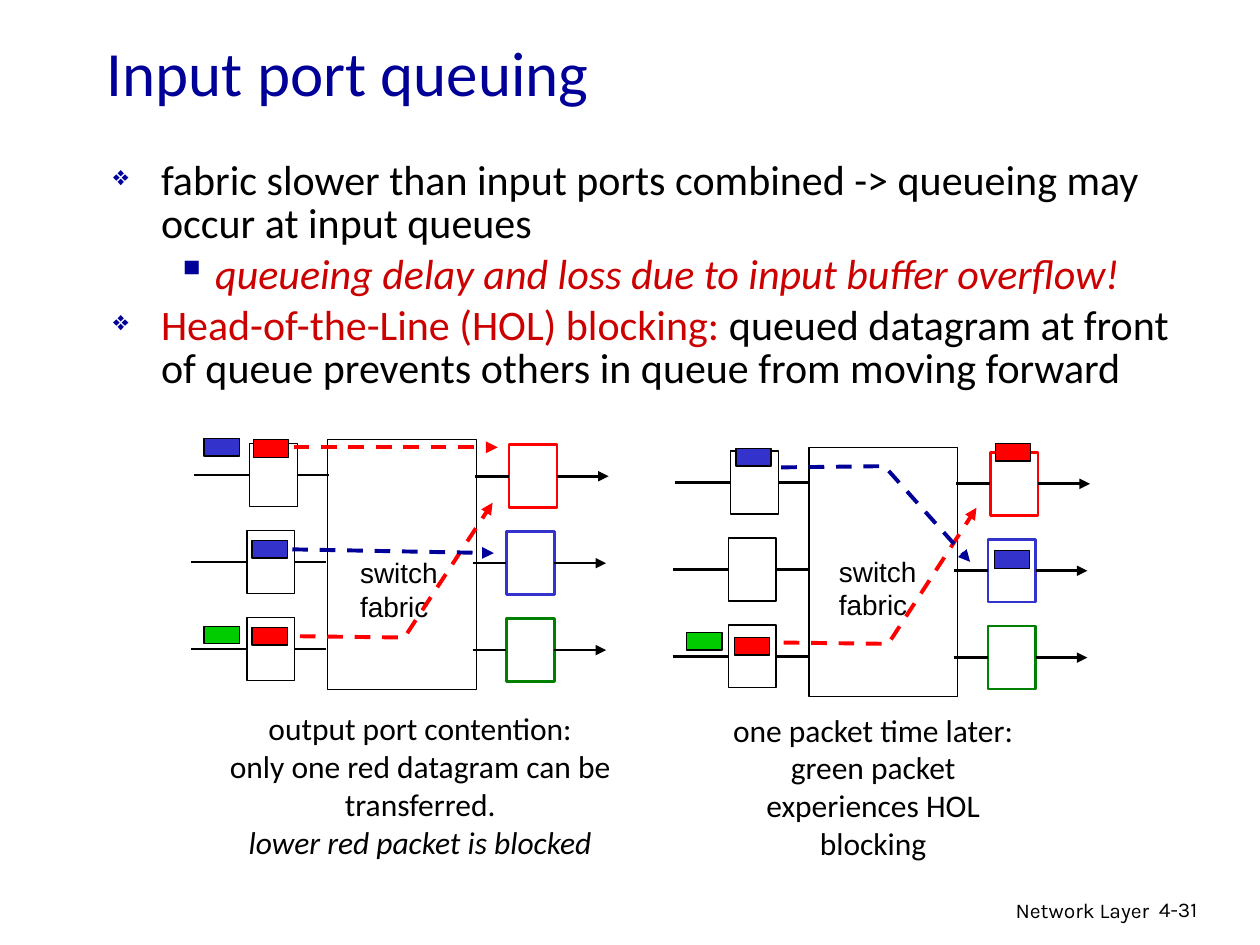
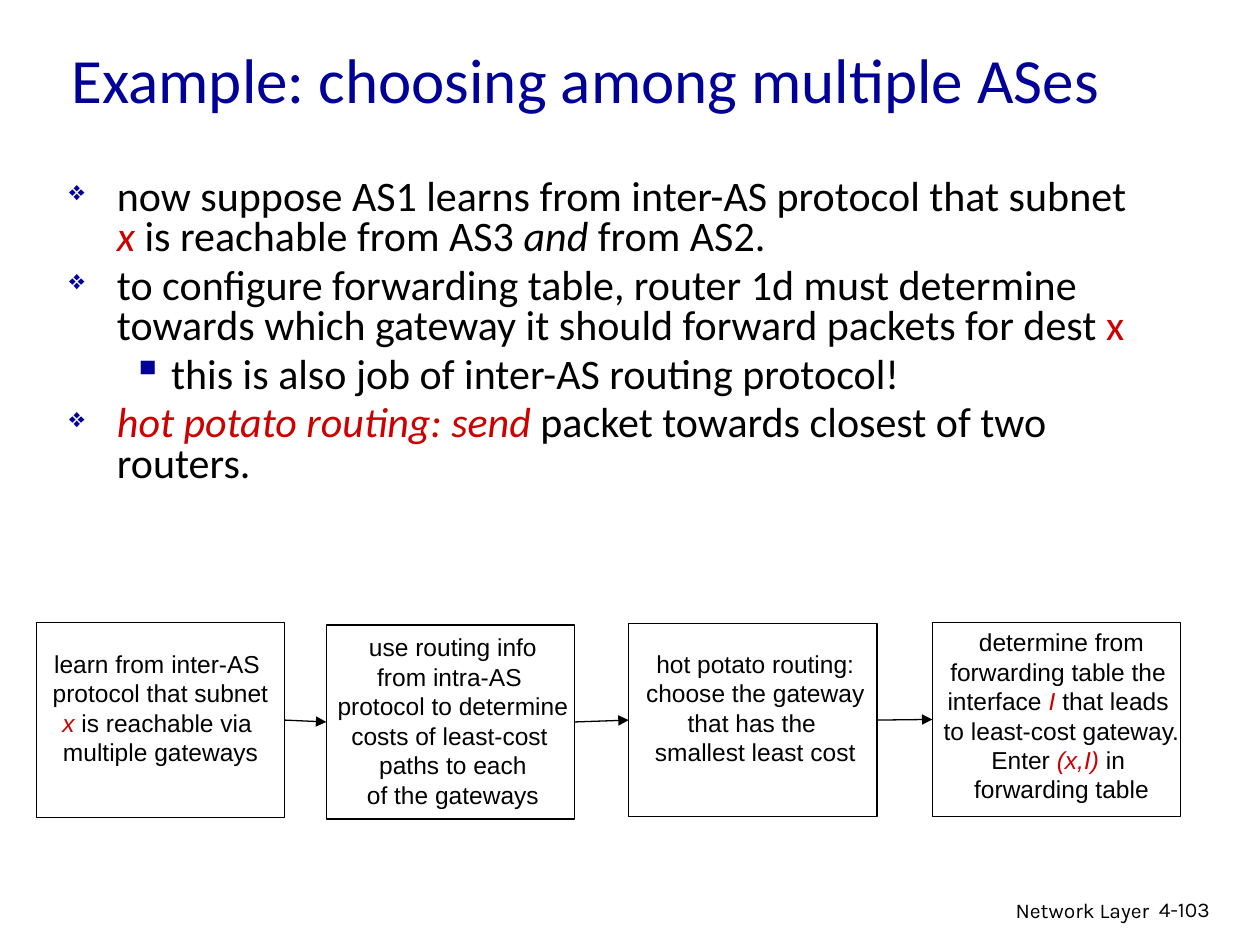
"""Build two network-layer slides: input port queuing and choosing among ASes."""
from dataclasses import dataclass

from pptx import Presentation
from pptx import util as u
from pptx.dml.color import RGBColor
from pptx.enum import dml, shapes, text
from pptx.oxml import ns
from lxml import etree

SCALE = 9144


@dataclass(frozen=True)
class Theme:
    """Colours, fonts and type sizes shared by the slides."""
    ink: str = "000000"
    paper: str = "FFFFFF"
    navy: str = "000099"
    accent: str = "CC0000"
    red: str = "FF0000"
    blue: str = "3333CC"
    green: str = "008000"
    lime: str = "00CC00"
    main_font: str = "Calibri"
    diagram_font: str = "Arial"
    footer_font: str = "Karla"
    title_size: int = 36
    body_size: int = 24
    caption_size: int = 18
    fabric_size: int = 16
    step_size: int = 14
    footer_size: int = 12


THEME = Theme()

QUEUING = {
    "title": ("Input port queuing", (75, 32, 850, 50)),
    "number": "4-31",
    "body_at": (80, 123, 886, 290),
    "line_spacing": 0.85,
    "bullets": [
        (0, ["fabric slower than input ports combined -> queueing may occur at input queues"]),
        (1, [("queueing delay and loss due to input buffer overflow!", "hot em")]),
        (0, [("Head-of-the-Line (HOL) blocking:", "hot"),
             " queued datagram at front of queue prevents others in queue from moving forward"]),
    ],
}

CHOOSING = {
    "title": ("Example: choosing among multiple ASes", (47, 0, 959, 125)),
    "number": "4-103",
    "body_at": (45, 137, 874, 301),
    "line_spacing": 0.8,
    "bullets": [
        (0, ["now suppose AS1 learns from inter-AS protocol that subnet ", ("x ", "hot em"),
             "is reachable from AS3 ", ("and", "em"), " from AS2."]),
        (0, ["to configure forwarding table, router 1d must determine towards which gateway "
             "it should forward packets for dest ", ("x", "hot")]),
        (1, ["this is also job of inter-AS routing protocol!"]),
        (0, [("hot potato routing: send", "hot em"), " packet towards closest of two routers."]),
    ],
}

FABRIC = [["switch"], ["fabric"]]

PANELS = [
    {
        "offset": (0, 0),
        "fabric_at": (276, 436),
        "caption_at": (148, 558, 371, 130),
        "caption": [["output port contention:"],
                    ["only one red datagram can be transferred."],
                    [("lower red packet is blocked", "em")]],
        "packets": [("red", 201, 349), ("blue", 200, 429), ("red", 200, 498),
                    ("blue", 162, 348), ("lime", 162, 497)],
        "routes": [("red", [(233, 355), (395, 355)]),
                   ("red", [(238, 505), (321, 506), (391, 399)]),
                   ("navy", [(232, 436), (392, 439)])],
    },
    {
        "offset": (382, 6),
        "fabric_at": (274, 429),
        "caption_at": (189, 553, 244, 130),
        "caption": [["one packet time later: green packet experiences HOL blocking"]],
        "packets": [("red", 408, 346), ("blue", 202, 350), ("red", 201, 500),
                    ("lime", 163, 496), ("blue", 407, 431)],
        "routes": [("red", [(240, 504), (323, 505), (393, 397)]),
                   ("navy", [(238, 365), (320, 364), (388, 440)])],
    },
]

PORTS = [("red", 2), ("blue", 0), ("green", 0)]
PORT_TOP, PORT_PITCH, PORT_SIZE = 352, 69, (38, 50)

STEPS = [
    ((29, 494, 197, 155), (31, 510, 193, 104),
     [["learn from inter-AS "], ["protocol that subnet "],
      [("x ", "hot em"), "is reachable via "], ["multiple gateways"]]),
    ((259, 496, 197, 154), (244, 497, 231, 152),
     [["use routing info"], ["from intra-AS "], ["protocol to determine"],
      ["costs of least-cost "], ["paths to each"], ["of the gateways"]]),
    ((499, 495, 197, 153), (501, 510, 197, 103),
     [["hot potato routing:"], ["choose the gateway"], ["that has the "],
      ["smallest least cost"]]),
    ((740, 494, 197, 154), (738, 493, 209, 151),
     [["determine from"], ["forwarding table the "],
      ["interface", (" I ", "hot em"), "that leads "], ["to least-cost gateway. "],
      ["Enter ", ("(x,I) ", "hot em"), "in "], ["forwarding table"]]),
]

BULLETS = [
    {"char": "❖", "size": "65000", "margin": 38, "indent": -38},
    {"char": "▪", "size": "100000", "margin": 81, "indent": -31},
]


def px(*lengths):
    """Turn px lengths into EMU."""
    return [u.Emu(length * SCALE) for length in lengths]


def rgb(name):
    """Look up a theme colour by name."""
    return RGBColor.from_string(getattr(THEME, name))


def set_all(target, values):
    """Set each named attribute on the target."""
    for name, value in values.items():
        setattr(target, name, value)


def add_child(parent, tag, **attributes):
    """Append one DrawingML element."""
    return etree.SubElement(parent, ns.qn(tag), attributes)


def write(slide, at, lines, font, size, color="ink", align="LEFT", **frame_format):
    """Add a text box with one paragraph per line and return its paragraphs."""
    frame = slide.shapes.add_textbox(*px(*at)).text_frame
    set_all(frame, {"word_wrap": True, **frame_format})
    for index, pieces in enumerate(lines):
        paragraph = frame.paragraphs[0] if index == 0 else frame.add_paragraph()
        paragraph.alignment = getattr(text.PP_ALIGN, align)
        for piece in pieces:
            words, flags = (piece, "") if isinstance(piece, str) else piece
            run = paragraph.add_run()
            run.text = words
            set_all(run.font, {"name": font, "size": u.Pt(size), "italic": "em" in flags})
            run.font.color.rgb = rgb("accent" if "hot" in flags else color)
    return frame.paragraphs


def stroke(line, color="ink", width=0.75, dashed=False):
    """Style an outline."""
    line.color.rgb = rgb(color)
    line.width = u.Pt(width)
    if dashed:
        line.dash_style = dml.MSO_LINE.DASH


def add_arrowhead(shape):
    """Put a triangle at the end of a line."""
    add_child(shape.line._get_or_add_ln(), "a:tailEnd", type="triangle")


def box(slide, at, fill=None, color="ink", width=0.75):
    """Add a rectangle."""
    rect = slide.shapes.add_shape(shapes.MSO_SHAPE.RECTANGLE, *px(*at))
    rect.shadow.inherit = False
    if fill:
        rect.fill.solid()
        rect.fill.fore_color.rgb = rgb(fill)
    else:
        rect.fill.background()
    stroke(rect.line, color, width)
    return rect


def wire(slide, start, end, leaves=None, enters=None, arrow=False, **line_format):
    """Add a straight connector, joined to the box it leaves or enters."""
    link = slide.shapes.add_connector(shapes.MSO_CONNECTOR.STRAIGHT, *px(*start, *end))
    if leaves:
        link.begin_connect(leaves, 3)
    if enters:
        link.end_connect(enters, 1)
    stroke(link.line, **line_format)
    if arrow:
        add_arrowhead(link)
    add_child(link._element.spPr, "a:effectLst")


def route(slide, color, points):
    """Draw the dashed way a packet takes through the fabric."""
    look = {"color": color, "width": 2.25, "dashed": True}
    if len(points) == 2:
        wire(slide, *points, arrow=True, **look)
        return
    builder = slide.shapes.build_freeform(*points[0], scale=SCALE)
    builder.add_line_segments(points[1:], close=False)
    way = builder.convert_to_shape()
    way.shadow.inherit = False
    way.fill.background()
    stroke(way.line, **look)
    add_arrowhead(way)


def add_page(deck, page):
    """Add a slide with its footer, title and bullets."""
    slide = deck.slides.add_slide(deck.slide_layouts[6])
    footer = (THEME.footer_font, THEME.footer_size)
    write(slide, (605, 707, 317, 31), [["Network Layer"]], *footer, align="RIGHT")
    write(slide, (910, 707, 74, 30), [[page["number"]]], *footer)
    title, title_at = page["title"]
    write(slide, title_at, [[title]], THEME.main_font, THEME.title_size, "navy",
          vertical_anchor=text.MSO_ANCHOR.MIDDLE)
    paragraphs = write(slide, page["body_at"], [pieces for _, pieces in page["bullets"]],
                       THEME.main_font, THEME.body_size)
    for index, (paragraph, (level, _)) in enumerate(zip(paragraphs, page["bullets"])):
        mark = BULLETS[level]
        properties = paragraph._p.get_or_add_pPr()
        margin, indent = px(mark["margin"], mark["indent"])
        properties.set("marL", str(margin))
        properties.set("indent", str(indent))
        add_child(add_child(properties, "a:buClr"), "a:srgbClr", val=THEME.navy)
        add_child(properties, "a:buSzPct", val=mark["size"])
        add_child(properties, "a:buChar", char=mark["char"])
        set_all(paragraph, {"level": level, "line_spacing": page["line_spacing"],
                            "space_before": u.Pt(4.8 if index else 0)})
    return slide


def add_panel(slide, panel):
    """Draw one switch with its ports, packets, routes and caption."""
    dx, dy = panel["offset"]

    def move(x, y, *size):
        return (x + dx, y + dy, *size)

    box(slide, move(260, 349, 118, 198), "paper")
    for row, (color, shift) in enumerate(PORTS):
        top = PORT_TOP + row * PORT_PITCH
        middle = top + PORT_SIZE[1] // 2
        source = box(slide, move(196 + shift, top, *PORT_SIZE), "paper")
        sink = box(slide, move(402 + shift, top + 1, *PORT_SIZE), "paper", color, 1.5)
        for left, right, y, joins in (
                (152, 196, middle, {"enters": source}),
                (234, 259, middle, {"leaves": source}),
                (375, 402, middle + 1, {"enters": sink}),
                (440, 481, middle + 1, {"leaves": sink, "arrow": True})):
            wire(slide, move(left + shift, y), move(right + shift, y), width=1.5, **joins)
    write(slide, move(*panel["fabric_at"], 82, 64), FABRIC, THEME.diagram_font,
          THEME.fabric_size, word_wrap=False)
    for color, points in panel["routes"]:
        route(slide, color, [move(*point) for point in points])
    for color, x, y in panel["packets"]:
        box(slide, move(x, y, 28, 14), color)
    write(slide, move(*panel["caption_at"]), panel["caption"], THEME.main_font,
          THEME.caption_size, align="CENTER")


def add_steps(slide):
    """Draw the chain of steps and the arrows between them."""
    previous = None
    for at, words_at, lines in STEPS:
        step = box(slide, at)
        write(slide, words_at, lines, THEME.diagram_font, THEME.step_size,
              align="CENTER", word_wrap=False)
        if previous:
            wire(slide, at[:2], at[:2], leaves=previous, enters=step, arrow=True)
        previous = step


def main():
    """Build and save the deck."""
    deck = Presentation()
    deck.slide_width, deck.slide_height = px(1000, 750)
    queuing = add_page(deck, QUEUING)
    for panel in PANELS:
        add_panel(queuing, panel)
    add_steps(add_page(deck, CHOOSING))
    deck.save("out.pptx")


if __name__ == "__main__":
    main()
